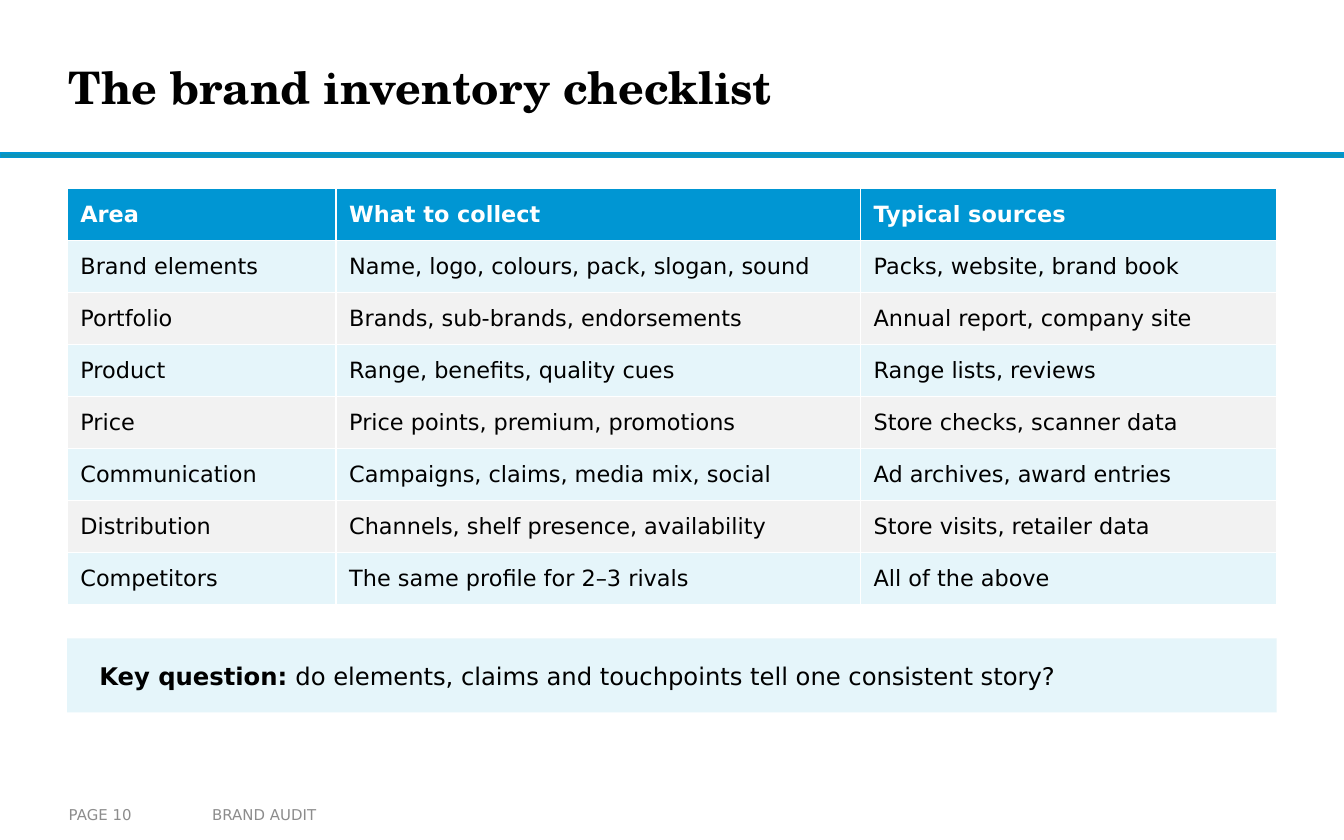
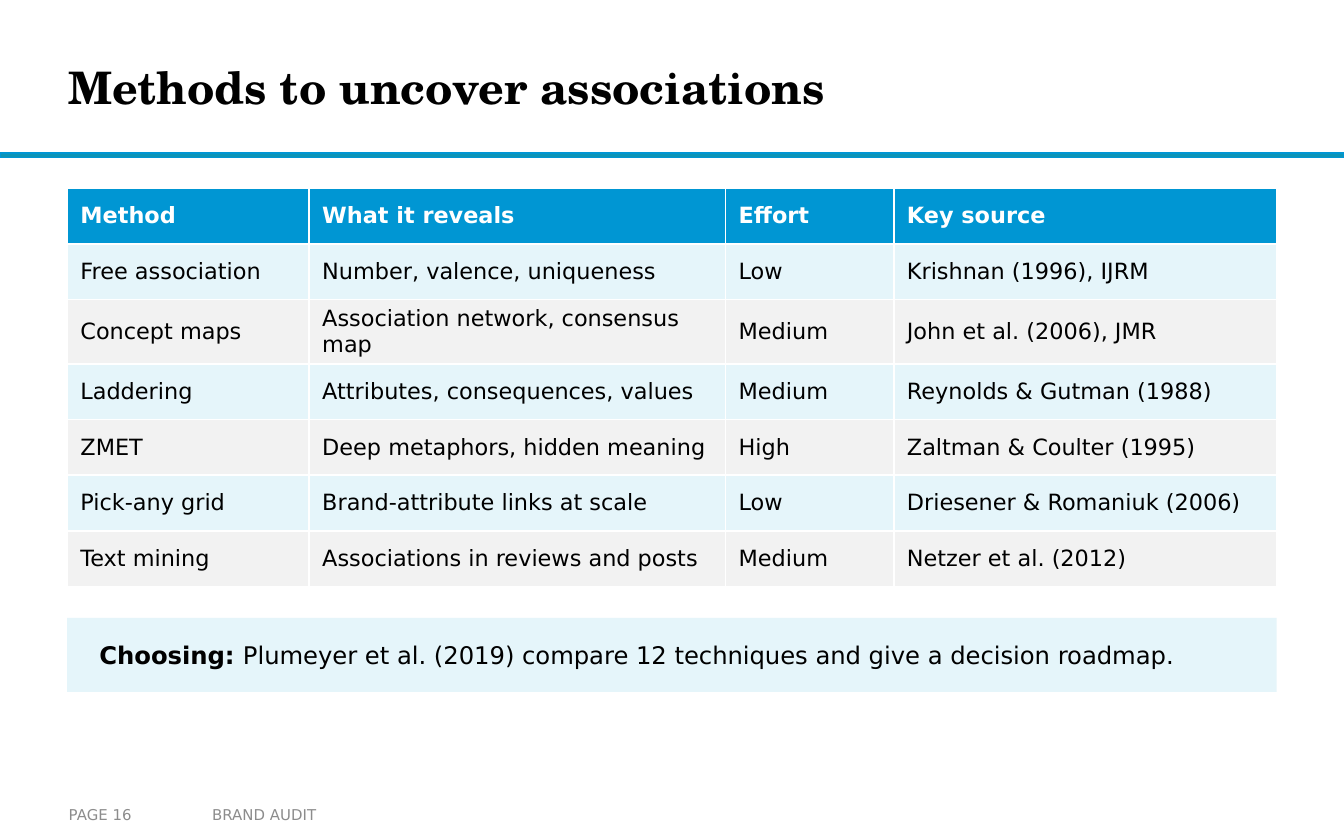
from pptx import Presentation
from pptx.dml.color import RGBColor
from pptx.enum.shapes import MSO_SHAPE
from pptx.enum.text import MSO_ANCHOR, MSO_AUTO_SIZE, PP_ALIGN
from pptx.util import Cm, Pt

RECTANGLE = MSO_SHAPE.RECTANGLE
MIDDLE = MSO_ANCHOR.MIDDLE
LEFT = PP_ALIGN.LEFT
NO_FIT = MSO_AUTO_SIZE.NONE
GROW = MSO_AUTO_SIZE.SHAPE_TO_FIT_TEXT

COLOURS = {
    "blue": "0096D3",
    "rule": "0C94B7",
    "pale": "E5F5FA",
    "grey": "F2F2F2",
    "footer": "8C8C8C",
    "black": "000000",
    "white": "FFFFFF",
}
COLOURS = {name: RGBColor.from_string(value) for name, value in COLOURS.items()}
HEADING_FONT = "TeX Gyre Schola"
BODY_FONT = "DejaVu Sans"

CONTENT_LEFT, CONTENT_WIDTH = 1.27, 22.86
TABLE_TOP = 3.56
CALLOUT_HEIGHT, CALLOUT_INDENT = 1.4, 0.51

PAGES = [
    {
        "number": 10,
        "title": "The brand inventory checklist",
        "widths": [5.08, 9.91, 7.87],
        "table_height": 7.87,
        "rows": [
            ["Area", "What to collect", "Typical sources"],
            ["Brand elements", "Name, logo, colours, pack, slogan, sound", "Packs, website, brand book"],
            ["Portfolio", "Brands, sub-brands, endorsements", "Annual report, company site"],
            ["Product", "Range, benefits, quality cues", "Range lists, reviews"],
            ["Price", "Price points, premium, promotions", "Store checks, scanner data"],
            ["Communication", "Campaigns, claims, media mix, social", "Ad archives, award entries"],
            ["Distribution", "Channels, shelf presence, availability", "Store visits, retailer data"],
            ["Competitors", "The same profile for 2–3 rivals", "All of the above"],
        ],
        "callout_top": 12.07,
        "callout": ["Key question: ", "do elements, claims and touchpoints tell one consistent story?"],
    },
    {
        "number": 16,
        "title": "Methods to uncover associations",
        "widths": [4.57, 7.87, 3.18, 7.24],
        "table_height": 7.37,
        "rows": [
            ["Method", "What it reveals", "Effort", "Key source"],
            ["Free association", "Number, valence, uniqueness", "Low", "Krishnan (1996), IJRM"],
            ["Concept maps", "Association network, consensus map", "Medium", "John et al. (2006), JMR"],
            ["Laddering", "Attributes, consequences, values", "Medium", "Reynolds & Gutman (1988)"],
            ["ZMET", "Deep metaphors, hidden meaning", "High", "Zaltman & Coulter (1995)"],
            ["Pick-any grid", "Brand-attribute links at scale", "Low", "Driesener & Romaniuk (2006)"],
            ["Text mining", "Associations in reviews and posts", "Medium", "Netzer et al. (2012)"],
        ],
        "callout_top": 11.68,
        "callout": ["Choosing: ", "Plumeyer et al. (2019) compare 12 techniques and give a decision roadmap."],
    },
]


def add_span(para, text, size, colour="black", bold=False, font=BODY_FONT):
    span = para.add_run()
    span.text = text
    span.font.name = font
    span.font.size = Pt(size)
    span.font.bold = bold
    span.font.color.rgb = COLOURS[colour]


def set_frame(frame, across, down):
    frame.word_wrap = True
    frame.vertical_anchor = MIDDLE
    frame.margin_left = frame.margin_right = Cm(across)
    frame.margin_top = frame.margin_bottom = Cm(down)
    return frame.paragraphs[0]


deck = Presentation()
deck.slide_width, deck.slide_height = Cm(25.4), Cm(15.88)
layout = deck.slide_layouts[5]

for content in PAGES:
    page = deck.slides.add_slide(layout)

    title = page.shapes.title
    title.left, title.top, title.width, title.height = Cm(1.3), Cm(0.38), Cm(19), Cm(2.51)
    title.text_frame.auto_size = NO_FIT
    para = set_frame(title.text_frame, 0, 0)
    para.alignment = LEFT
    add_span(para, content["title"], 24, bold=True, font=HEADING_FONT)

    footers = [
        ("BRAND AUDIT", 3.76, 8.94, 0.25),
        (f"PAGE {content['number']}", 1.3, 2.49, 0),
    ]
    for text, left, width, margin in footers:
        box = page.shapes.add_textbox(Cm(left), Cm(15.04), Cm(width), Cm(0.71))
        add_span(set_frame(box.text_frame, margin, 0.13), text, 8, "footer")

    rows, widths = content["rows"], content["widths"]
    table = page.shapes.add_table(
        len(rows), len(widths), Cm(CONTENT_LEFT), Cm(TABLE_TOP),
        Cm(CONTENT_WIDTH), Cm(content["table_height"]),
    ).table
    for column, width in zip(table.columns, widths):
        column.width = Cm(width)
    for row_index, row in enumerate(rows):
        header = row_index == 0
        fill = "blue" if header else ("grey", "pale")[row_index % 2]
        for column_index, text in enumerate(row):
            cell = table.cell(row_index, column_index)
            cell.fill.solid()
            cell.fill.fore_color.rgb = COLOURS[fill]
            cell.vertical_anchor = MIDDLE
            cell.margin_left = cell.margin_right = Cm(0.25)
            cell.margin_top = cell.margin_bottom = Cm(0.1)
            add_span(cell.text_frame.paragraphs[0], text, 12, "white" if header else "black", header)

    top, height = Cm(content["callout_top"]), Cm(CALLOUT_HEIGHT)
    panel = page.shapes.add_shape(RECTANGLE, Cm(CONTENT_LEFT), top, Cm(CONTENT_WIDTH), height)
    panel.shadow.inherit = False
    panel.fill.solid()
    panel.fill.fore_color.rgb = COLOURS["pale"]
    panel.line.fill.background()

    box = page.shapes.add_textbox(
        Cm(CONTENT_LEFT + CALLOUT_INDENT), top, Cm(CONTENT_WIDTH - 2 * CALLOUT_INDENT), height
    )
    box.text_frame.auto_size = GROW
    para = set_frame(box.text_frame, 0.1, 0.05)
    lead, message = content["callout"]
    add_span(para, lead, 13, bold=True)
    add_span(para, message, 13)

rule = page.shapes.add_shape(RECTANGLE, 0, Cm(2.9), deck.slide_width, Cm(0.08))
rule.shadow.inherit = False
rule.fill.solid()
rule.fill.fore_color.rgb = COLOURS["rule"]
rule.line.color.rgb = COLOURS["blue"]
rule.line.width = Pt(1)
layout.shapes.element.append(rule.element)

deck.save("out.pptx")
